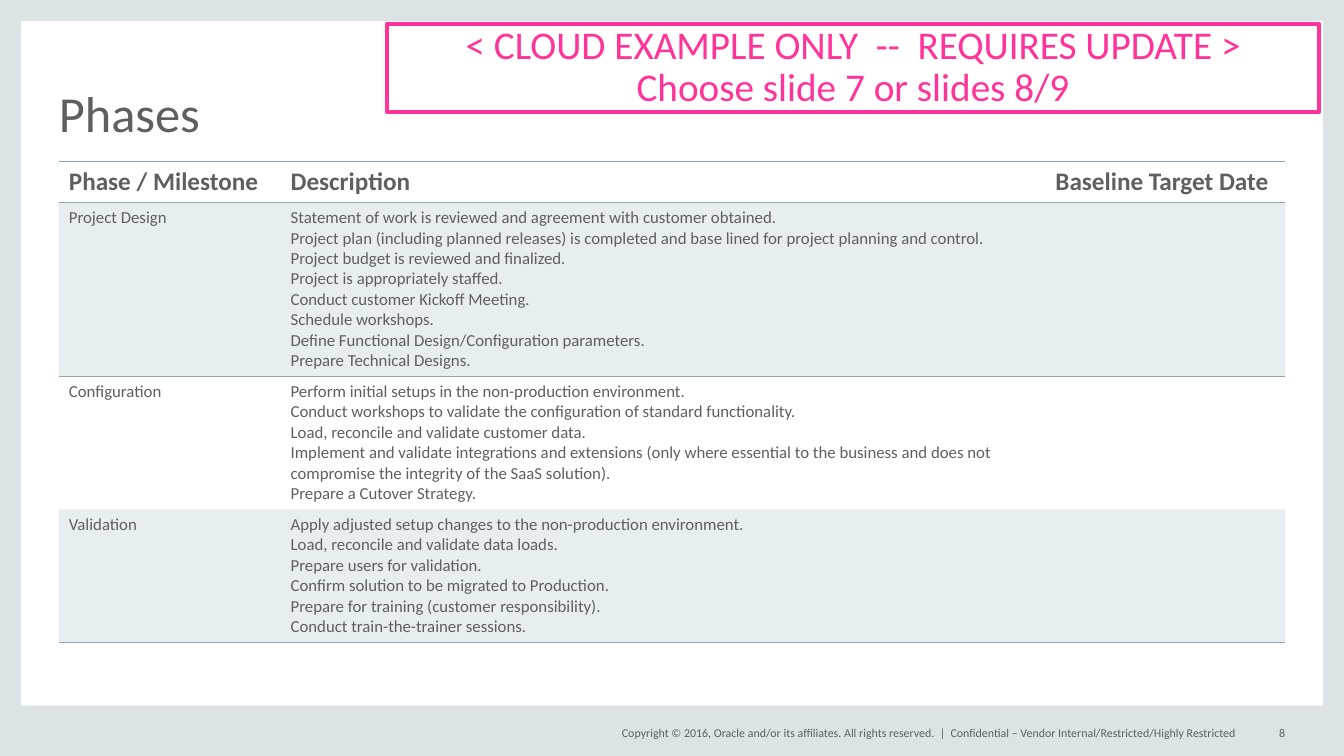
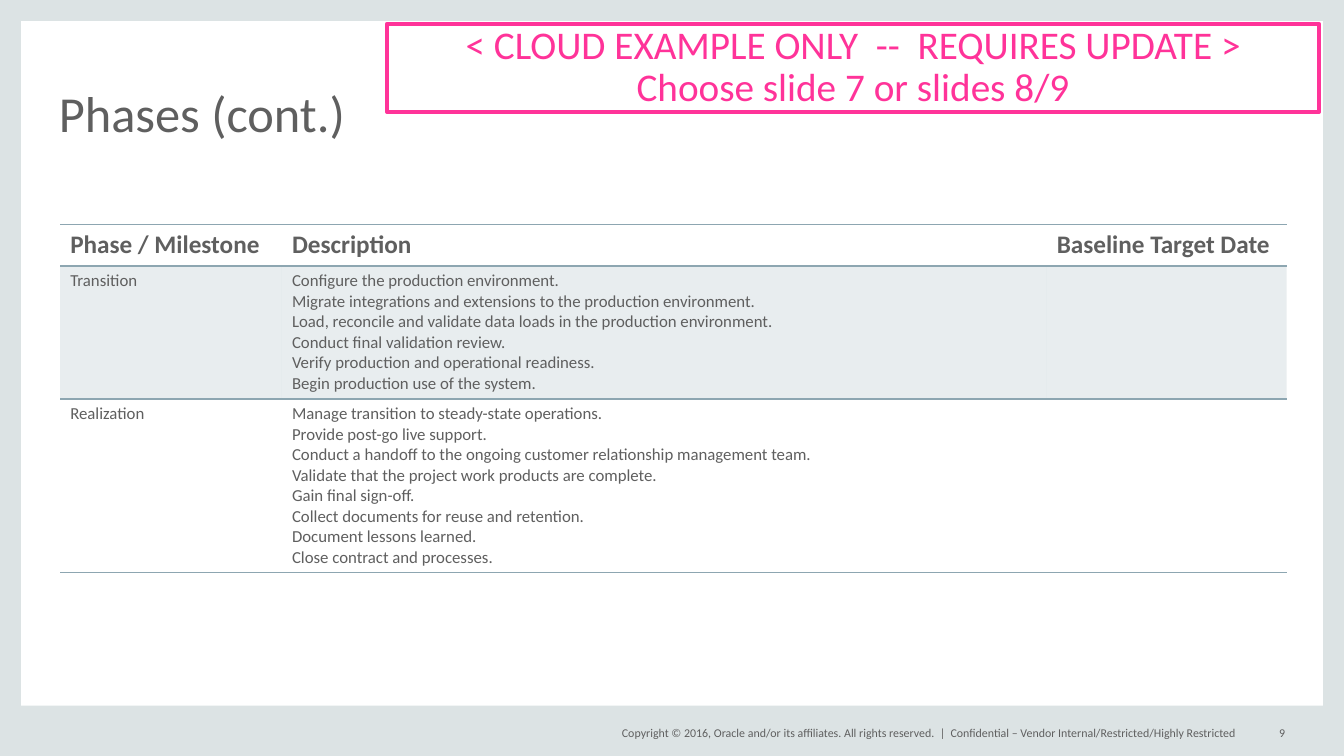
"""Build the two project phase slides."""
from lxml import etree
from pptx import Presentation
from pptx.dml.color import RGBColor
from pptx.enum import shapes, text
from pptx.oxml import ns
from pptx.util import Pt

GREY, BAND, STEEL, PINK = "5F5F5F", "DCE3E4", "8DA6B1", "FF3399"
WIDE, HIGH = 960, 540
LEFT, MID, RIGHT = text.PP_ALIGN.LEFT, text.PP_ALIGN.CENTER, text.PP_ALIGN.RIGHT
PLAIN = "{2D5ABB26-0587-4C30-8999-92F81FD0307C}"
HEAD = ["Phase / Milestone", "Description", "Baseline Target Date"]
NOTICE = ["< CLOUD EXAMPLE ONLY  --  REQUIRES UPDATE >", "Choose slide 7 or slides 8/9"]
RIGHTS = "Copyright © 2016, Oracle and/or its affiliates. All rights reserved.  |"
SECRET = "Confidential – Vendor Internal/Restricted/Highly Restricted"

DECK = [
    ("Phases", "8", 42, 115.2, [
        ("Project Design", [
            "Statement of work is reviewed and agreement with customer obtained.",
            "Project plan (including planned releases) is completed and base lined "
            "for project planning and control.",
            "Project budget is reviewed and finalized.",
            "Project is appropriately staffed.",
            "Conduct customer Kickoff Meeting.",
            "Schedule workshops.",
            "Define Functional Design/Configuration parameters.",
            "Prepare Technical Designs."]),
        ("Configuration", [
            "Perform initial setups in the non-production environment.",
            "Conduct workshops to validate the configuration of standard functionality.",
            "Load, reconcile and validate customer data.",
            "Implement and validate integrations and extensions (only where essential "
            "to the business and does not compromise the integrity of the SaaS solution).",
            "Prepare a Cutover Strategy."]),
        ("Validation", [
            "Apply adjusted setup changes to the non-production environment.",
            "Load, reconcile and validate data loads.",
            "Prepare users for validation.",
            "Confirm solution to be migrated to Production.",
            "Prepare for training (customer responsibility).",
            "Conduct train-the-trainer sessions."])]),
    ("Phases (cont.)", "9", 43, 160.5, [
        ("Transition", [
            "Configure the production environment.",
            "Migrate integrations and extensions to the production environment.",
            "Load, reconcile and validate data loads in the production environment.",
            "Conduct final validation review.",
            "Verify production and operational readiness.",
            "Begin production use of the system."]),
        ("Realization", [
            "Manage transition to steady-state operations.",
            "Provide post-go live support.",
            "Conduct a handoff to the ongoing customer relationship management team.",
            "Validate that the project work products are complete.",
            "Gain final sign-off.",
            "Collect documents for reuse and retention.",
            "Document lessons learned.",
            "Close contract and processes."])]),
]


def hue(code):
    return RGBColor.from_string(code)


def write(frame, lines, size, code=GREY, bold=False, box=None, **form):
    for key, val in (box or {}).items():
        setattr(frame, key, val)
    for num, line in enumerate(lines):
        para = frame.add_paragraph() if num else frame.paragraphs[0]
        para.text = line
        for key, val in form.items():
            setattr(para, key, val)
        for key, val in dict(name="Calibri", size=Pt(size), bold=bold).items():
            setattr(para.font, key, val)
        para.font.color.rgb = hue(code)


FLAT = dict(word_wrap=True, auto_size=text.MSO_AUTO_SIZE.NONE,
            vertical_anchor=text.MSO_ANCHOR.MIDDLE,
            margin_left=0, margin_top=0, margin_right=0, margin_bottom=0)
LOW = {**FLAT, "vertical_anchor": text.MSO_ANCHOR.BOTTOM}

show = Presentation()
show.slide_width, show.slide_height = Pt(WIDE), Pt(HIGH)
base = show.slide_layouts[5]
for hold in list(base.placeholders)[1:]:
    hold.element.getparent().remove(hold.element)
pages = [show.slides.add_slide(base) for _ in DECK]

common = []
for area in [(0, 0, 15, HIGH), (WIDE - 15, 0, 15, HIGH),
             (0, 504, WIDE, 36), (0, 0, WIDE, 15)]:
    band = pages[0].shapes.add_shape(shapes.MSO_SHAPE.RECTANGLE, *map(Pt, area))
    band.shadow.inherit = False
    band.fill.solid()
    band.fill.fore_color.rgb = hue(BAND)
    band.line.fill.background()
    common.append(band)
for line, left, width, side in [(RIGHTS, 423.5, 252, RIGHT), (SECRET, 679, 216, LEFT)]:
    foot = pages[0].shapes.add_textbox(Pt(left), Pt(516), Pt(width), Pt(14.5))
    write(foot.text_frame, [line], 8.5, box=FLAT, alignment=side)
    common.append(foot)
for num, item in enumerate(common, 20):
    item.element.nvSpPr.cNvPr.set("id", str(num))
    base.shapes.element.append(item.element)

for page, (name, mark, left, top, phases) in zip(pages, DECK):
    title = page.shapes.title
    for key, val in dict(left=42, top=32, width=876, height=69.5).items():
        setattr(title, key, Pt(val))
    write(title.text_frame, [name], 36, box=LOW, alignment=LEFT, line_spacing=0.8)

    rows = [([HEAD[0]], [HEAD[1]], [HEAD[2]])]
    rows += [([phase], steps, []) for phase, steps in phases]
    grid = page.shapes.add_table(len(rows), 3, Pt(left), Pt(top),
                                 Pt(876), Pt(29.5 * len(rows)))
    grid.element.find(".//" + ns.qn("a:tableStyleId")).text = PLAIN
    table = grid.table
    table.horz_banding = False
    for col, width in zip(table.columns, (158.4, 546.3, 171.3)):
        col.width = Pt(width)
    for num, row in enumerate(rows):
        edges = {0: ["lnT", "lnB"], 1: ["lnT"]}.get(num, [])
        if num == len(rows) - 1:
            edges = edges + ["lnB"]
        for cell, lines in zip(table.rows[num].cells, row):
            write(cell.text_frame, lines, 12 if num else 18, bold=not num)
            prop = cell._tc.get_or_add_tcPr()
            for edge in edges:
                rule = etree.SubElement(prop, ns.qn("a:" + edge), w=str(Pt(1)))
                fill = etree.SubElement(rule, ns.qn("a:solidFill"))
                etree.SubElement(fill, ns.qn("a:srgbClr"), val=STEEL)
            if num % 2:
                cell.fill.solid()
                cell.fill.fore_color.rgb = hue(STEEL)
                tint = prop.find(ns.qn("a:solidFill"))[0]
                etree.SubElement(tint, ns.qn("a:alpha"), val="20000")
            else:
                cell.fill.background()

    foot = page.shapes.add_textbox(Pt(888), Pt(516), Pt(30), Pt(14.5))
    write(foot.text_frame, [mark], 8.5, box=FLAT, alignment=RIGHT)

    note = page.shapes.add_shape(shapes.MSO_SHAPE.RECTANGLE,
                                 Pt(276.5), Pt(17), Pt(665.5), Pt(63))
    note.shadow.inherit = False
    note.fill.background()
    note.line.color.rgb = hue(PINK)
    note.line.width = Pt(3)
    write(note.text_frame, NOTICE, 28, PINK, box=FLAT, alignment=MID, line_spacing=0.9)

show.save("out.pptx")
